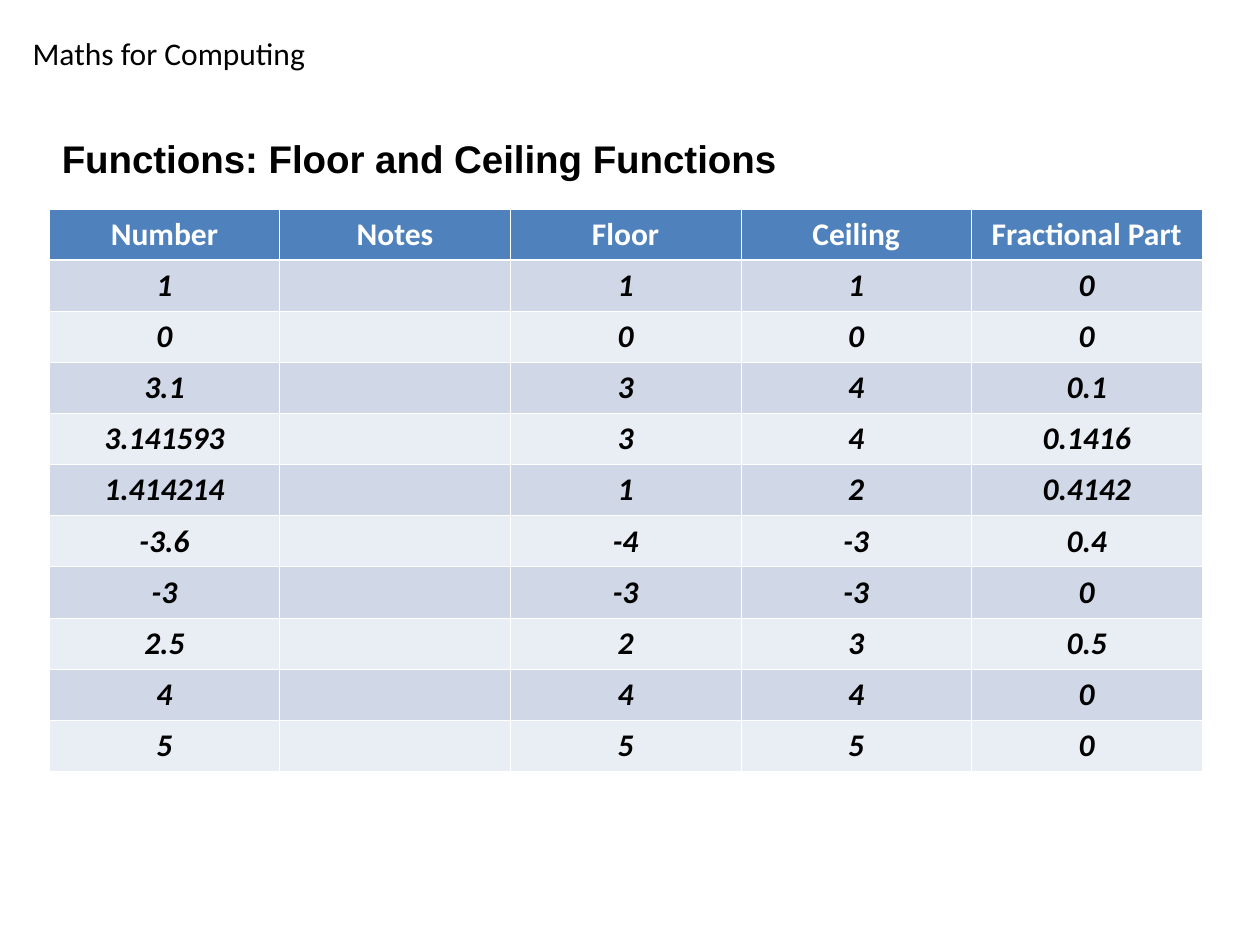
"""Build a slide with a table of floor and ceiling values."""
import dataclasses

import lxml.etree
import pptx
import pptx.dml.color
import pptx.enum.text
import pptx.oxml.ns
import pptx.util

COURSE = "Maths for Computing"
TITLE = "Functions: Floor and Ceiling Functions"
HEADS = ["Number", "Notes", "Floor", "Ceiling", "Fractional Part"]
ROWS = [
    ("1", "", "1", "1", "0"),
    ("0", "", "0", "0", "0"),
    ("3.1", "", "3", "4", "0.1"),
    ("3.141593", "", "3", "4", "0.1416"),
    ("1.414214", "", "1", "2", "0.4142"),
    ("-3.6", "", "-4", "-3", "0.4"),
    ("-3", "", "-3", "-3", "0"),
    ("2.5", "", "2", "3", "0.5"),
    ("4", "", "4", "4", "0"),
    ("5", "", "5", "5", "0"),
]


@dataclasses.dataclass(frozen=True)
class Theme:
    """Colours, fonts and sizes."""
    ink: str = "000000"
    white: str = "FFFFFF"
    head: str = "4F81BD"
    bands: tuple = ("D0D8E8", "E9EDF4")
    sans: str = "Arial"
    body: str = "Calibri"
    big: int = 22
    small: int = 18
    thin: float = 0.45
    thick: float = 1.47


THEME = Theme()
Inches = pptx.util.Inches
ANCHOR = pptx.enum.text.MSO_ANCHOR
ALIGN = pptx.enum.text.PP_ALIGN


def rgb(code):
    """Turn a hex code into a colour."""
    return pptx.dml.color.RGBColor.from_string(code)


def write(para, text, size, face, color, bold=False, italic=False):
    """Add one formatted run."""
    run = para.add_run()
    run.text = text
    font = run.font
    font.size, font.name = pptx.util.Pt(size), face
    font.bold, font.italic = bold, italic
    font.color.rgb = rgb(color)


def place(shape, left, top, width, height):
    """Move and size a text shape and set its frame."""
    shape.left, shape.top = Inches(left), Inches(top)
    shape.width, shape.height = Inches(width), Inches(height)
    frame = shape.text_frame
    frame.word_wrap = True
    frame.auto_size = pptx.enum.text.MSO_AUTO_SIZE.NONE
    frame.vertical_anchor = ANCHOR.TOP
    para = frame.paragraphs[0]
    para.alignment = ALIGN.LEFT
    return para


def edge(cell, widths):
    """Draw the white borders of a cell."""
    props = cell._tc.get_or_add_tcPr()
    tag = pptx.oxml.ns.qn
    for spot, (side, width) in enumerate(widths.items()):
        line = lxml.etree.Element(tag(f"a:ln{side}"), w=str(pptx.util.Pt(width)))
        fill = lxml.etree.SubElement(line, tag("a:solidFill"))
        lxml.etree.SubElement(fill, tag("a:srgbClr"), val=THEME.white)
        props.insert(spot, line)


def style(cell, text, row):
    """Fill, border and write one cell."""
    head = row == 0
    cell.fill.solid()
    cell.fill.fore_color.rgb = rgb(THEME.head if head else THEME.bands[(row - 1) % 2])
    edge(cell, {"L": THEME.thin, "R": THEME.thin,
                "T": THEME.thick if row == 1 else THEME.thin,
                "B": THEME.thick if head else THEME.thin})
    if not text:
        return
    para = cell.text_frame.paragraphs[0]
    para.alignment = ALIGN.CENTER
    if not head:
        cell.vertical_anchor = ANCHOR.BOTTOM
        cell.margin_left = cell.margin_right = Inches(0.01)
    write(para, text, THEME.small, THEME.body,
          THEME.white if head else THEME.ink, bold=True, italic=not head)


def main():
    """Put the slide together and save it."""
    deck = pptx.Presentation()
    deck.slide_width, deck.slide_height = Inches(10), Inches(7.5)
    slide = deck.slides.add_slide(deck.slide_layouts[5])

    box = slide.shapes.add_textbox(0, 0, 0, 0)
    write(place(box, 0.16, 0.22, 6.91, 0.4), COURSE, THEME.small, THEME.body, THEME.ink)
    write(place(slide.shapes.title, 0.39, 1.02, 8.12, 0.43), TITLE,
          THEME.big, THEME.sans, THEME.ink, bold=True)

    lines = [HEADS, *ROWS]
    grid = slide.shapes.add_table(len(lines), len(HEADS), Inches(0.39), Inches(1.66),
                                  Inches(9.15), Inches(4.46)).table
    for row, line in enumerate(lines):
        for col, text in enumerate(line):
            style(grid.cell(row, col), text, row)
    deck.save("out.pptx")


if __name__ == "__main__":
    main()
